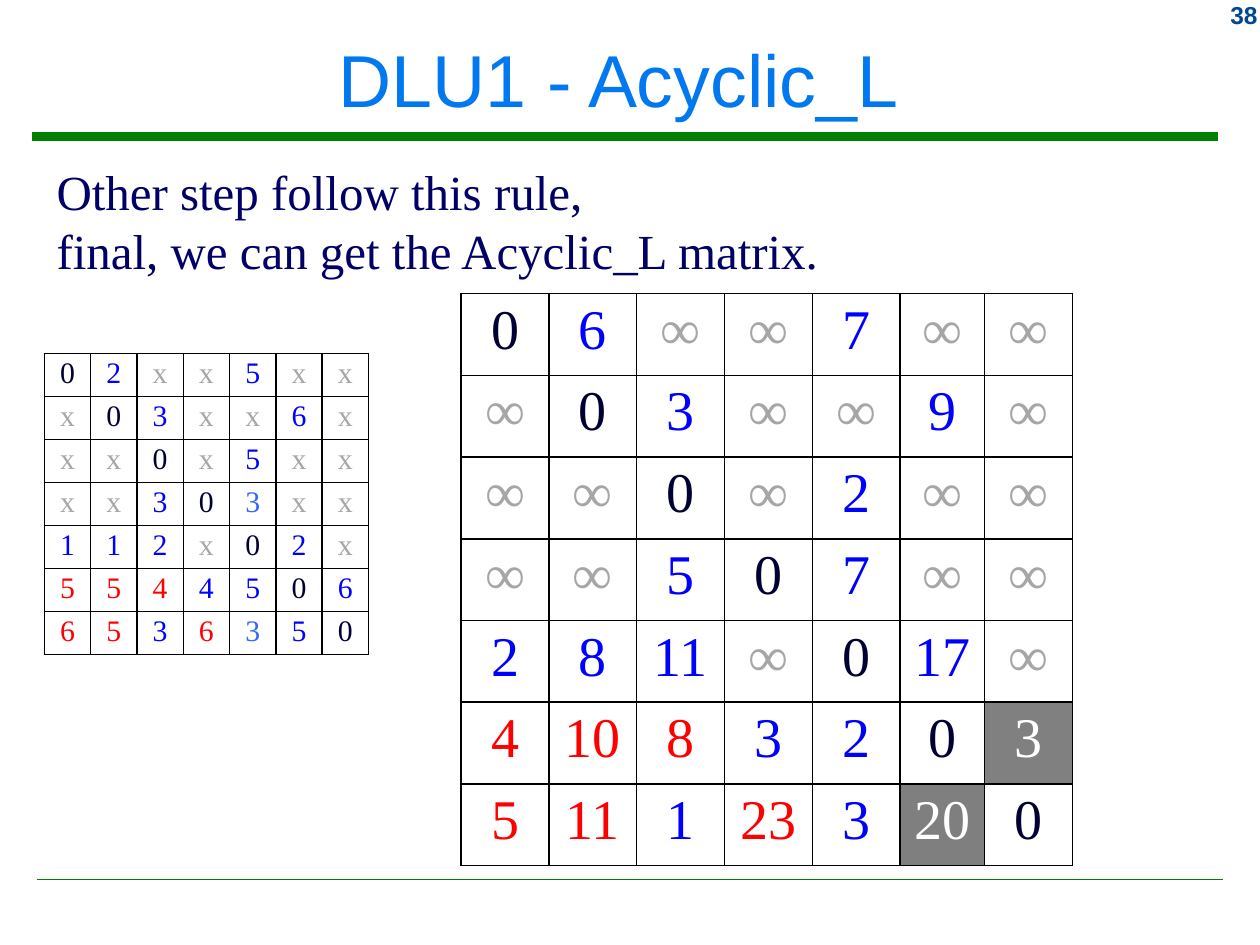
from lxml import etree
from pptx import Presentation
from pptx.dml.color import RGBColor
from pptx.enum.shapes import MSO_CONNECTOR
from pptx.enum.text import MSO_ANCHOR, PP_ALIGN
from pptx.oxml.ns import qn
from pptx.util import Pt

LEFT, CENTER, RIGHT = PP_ALIGN.LEFT, PP_ALIGN.CENTER, PP_ALIGN.RIGHT
TOP, MIDDLE = MSO_ANCHOR.TOP, MSO_ANCHOR.MIDDLE
STRAIGHT = MSO_CONNECTOR.STRAIGHT

SANS, SERIF = "Arial", "Times New Roman"
WHITE, BLACK, GREEN = "FFFFFF", "000000", "008000"
NAVY, BLUE, LIGHT_BLUE = "000033", "0000FF", "3366FF"
RED, PALE, GRAY = "FF0000", "A6A6A6", "808080"

RULES = [(18, 77.8, 696.2, 5.25), (20.9, 502.6, 699.1, 1)]
RED_CELLS = {(5, 0), (5, 1), (5, 2), (6, 0), (6, 1), (6, 3)}
MATRICES = [
    dict(
        rows=["0 2 x x 5 x x", "x 0 3 x x 6 x", "x x 0 x 5 x x", "x x 3 0 3 x x",
              "1 1 2 x 0 2 x", "5 5 4 4 5 0 6", "6 5 3 6 3 5 0"],
        left=25.4, top=202.1, widths=[26.45] * 7, row_height=24.6,
        size=17, inset=(3.6, 1.8),
        special={(3, 4): (LIGHT_BLUE, WHITE), (6, 4): (LIGHT_BLUE, WHITE)},
    ),
    dict(
        rows=["0 6 ∞ ∞ 7 ∞ ∞", "∞ 0 3 ∞ ∞ 9 ∞", "∞ ∞ 0 ∞ 2 ∞ ∞", "∞ ∞ 5 0 7 ∞ ∞",
              "2 8 11 ∞ 0 17 ∞", "4 10 8 3 2 0 3", "5 11 1 23 3 20 0"],
        left=263.5, top=167.8, widths=[50.2] * 5 + [48.2, 50.2], row_height=46.7,
        size=32, inset=(6.5, 3.2),
        special={(5, 6): (WHITE, GRAY), (6, 5): (WHITE, "7F7F7F")},
    ),
]


def rgb(value):
    return RGBColor.from_string(value)


def write(tf, text, size, color, font=SERIF, bold=False, align=LEFT):
    for i, line in enumerate(text.split("\n")):
        p = tf.paragraphs[0] if i == 0 else tf.add_paragraph()
        p.alignment = align
        r = p.add_run()
        r.text = line
        r.font.name, r.font.size, r.font.bold = font, Pt(size), bold
        r.font.color.rgb = rgb(color)


def add_text(s, text, left, top, width, height, wrap=True, anchor=TOP, **fmt):
    tf = s.shapes.add_textbox(Pt(left), Pt(top), Pt(width), Pt(height)).text_frame
    tf.word_wrap, tf.vertical_anchor = wrap, anchor
    write(tf, text, **fmt)


def add_rule(s, left, top, right, weight):
    sp = s.shapes.add_connector(STRAIGHT, Pt(left), Pt(top), Pt(right), Pt(top))
    sp.line.color.rgb = rgb(GREEN)
    sp.line.width = Pt(weight)
    etree.SubElement(sp._element.spPr, qn("a:effectLst"))


def add_borders(cell):
    tcPr = cell._tc.get_or_add_tcPr()
    for side in ("lnL", "lnR", "lnT", "lnB"):
        ln = etree.SubElement(tcPr, qn("a:" + side), w=str(Pt(1)))
        fill = etree.SubElement(ln, qn("a:solidFill"))
        etree.SubElement(fill, qn("a:srgbClr"), val=BLACK)


def cell_colors(value, position, special):
    if position in special:
        return special[position]
    if position in RED_CELLS:
        return RED, WHITE
    return {"0": NAVY, "x": PALE, "∞": PALE}.get(value, BLUE), WHITE


def add_matrix(s, rows, left, top, widths, row_height, size, inset, special):
    n = len(rows)
    table = s.shapes.add_table(n, len(widths), Pt(left), Pt(top),
                               Pt(sum(widths)), Pt(row_height * n)).table
    table.first_row = table.horz_banding = False
    for column, width in zip(table.columns, widths):
        column.width = Pt(width)
    for i, row in enumerate(rows):
        table.rows[i].height = Pt(row_height)
        for j, value in enumerate(row.split()):
            cell = table.cell(i, j)
            color, fill = cell_colors(value, (i, j), special)
            cell.margin_left = cell.margin_right = Pt(inset[0])
            cell.margin_top = cell.margin_bottom = Pt(inset[1])
            add_borders(cell)
            cell.fill.solid()
            cell.fill.fore_color.rgb = rgb(fill)
            write(cell.text_frame, value, size, color, align=CENTER)


def main():
    prs = Presentation()
    prs.slide_width, prs.slide_height = Pt(720), Pt(540)
    s = prs.slides.add_slide(prs.slide_layouts[6])
    for rule in RULES:
        add_rule(s, *rule)
    add_text(s, "38", 660.2, -3.6, 65.5, 23.8, size=14, color="004992",
             font=SANS, bold=True, align=RIGHT)
    add_text(s, "DLU1 - Acyclic_L ", 5.8, 6.5, 705.6, 76.3, anchor=MIDDLE,
             size=42, color="0078F0", font=SANS, align=CENTER)
    add_text(s, "Other step follow this rule,\nfinal, we can get the Acyclic_L matrix.",
             25.2, 88.6, 455, 74.9, wrap=False, size=28, color="000066")
    for matrix in MATRICES:
        add_matrix(s, **matrix)
    prs.save("out.pptx")


if __name__ == "__main__":
    main()
